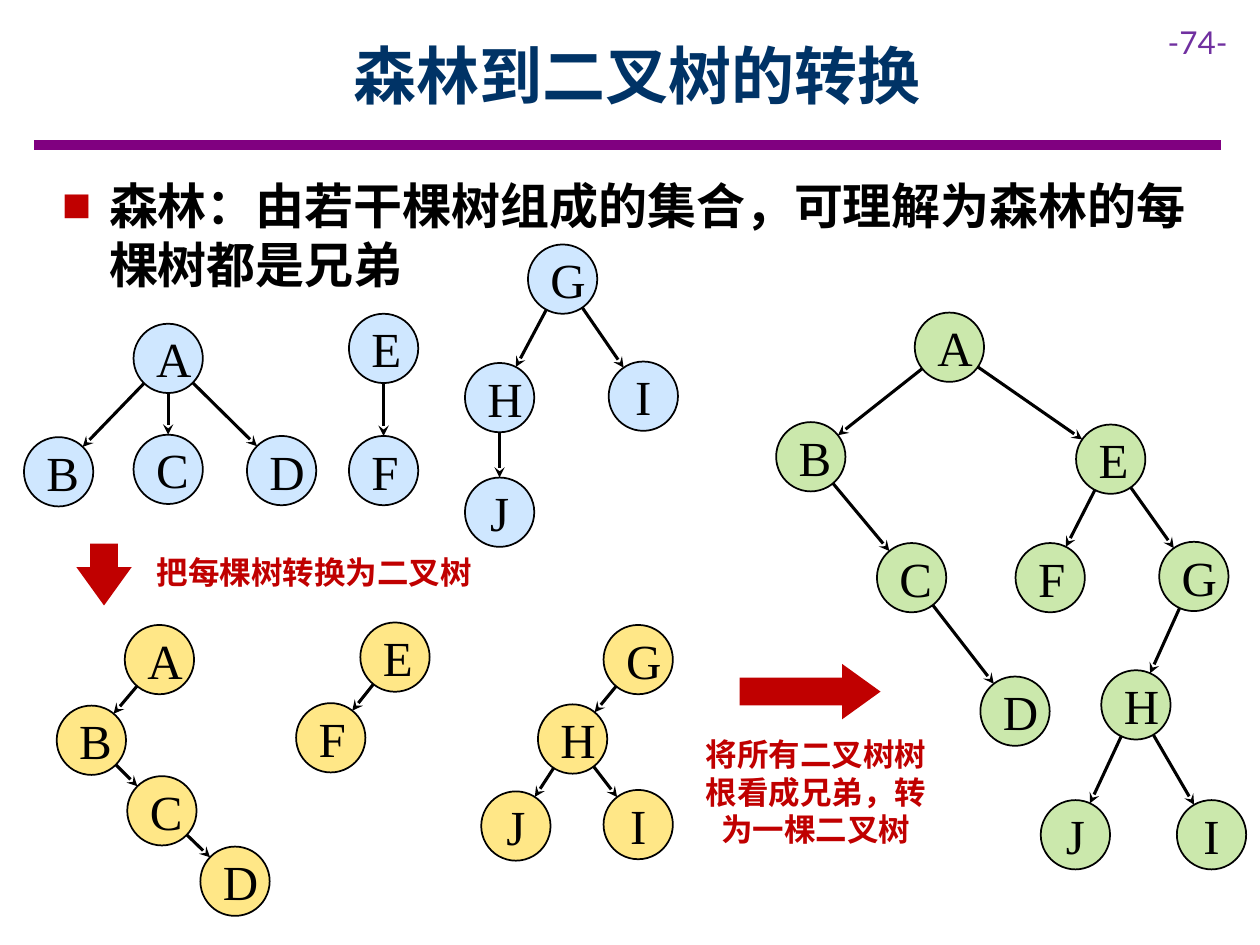
from math import hypot

from lxml import etree
from pptx import Presentation
from pptx.dml.color import RGBColor
from pptx.enum.shapes import MSO_CONNECTOR, MSO_SHAPE
from pptx.enum.text import MSO_ANCHOR, MSO_AUTO_SIZE, PP_ALIGN
from pptx.oxml.ns import qn
from pptx.util import Pt

STRAIGHT = MSO_CONNECTOR.STRAIGHT
OVAL, RIGHT_ARROW = MSO_SHAPE.OVAL, MSO_SHAPE.RIGHT_ARROW
TOP, MIDDLE = MSO_ANCHOR.TOP, MSO_ANCHOR.MIDDLE
LEFT, CENTER = PP_ALIGN.LEFT, PP_ALIGN.CENTER
FIXED = MSO_AUTO_SIZE.NONE

COLORS = {
    "black": "000000", "navy": "003366", "red": "C00000",
    "purple": "800080", "violet": "7030A0",
    "blue": "99CCFF", "yellow": "FFCC00", "green": "92D050",
}
CHINESE, LETTERS, NUMBERS = "Noto Sans CJK SC", "Times New Roman", "Lato"
DIAMETER = 39.6

# Each drawing: node positions (left, top) and parent-child pairs
FOREST = (
    {"A": (76.3, 185), "B": (13.7, 249.8), "C": (76.3, 248.4), "D": (141.1, 249.1),
     "E": (199.4, 179.3), "F": (199.4, 249.1), "G": (301.7, 139.7),
     "H": (265.7, 207.4), "I": (347.8, 206.6), "J": (265.7, 272.9)},
    "AB AC AD EF GH GI HJ",
)
BINARY_TREES = (
    {"A": (71.3, 357.1), "B": (32.4, 403.2), "C": (72.7, 443.5), "D": (114.5, 483.8),
     "E": (205.9, 355.7), "F": (169.2, 401.8), "G": (344.9, 357.1),
     "H": (307.4, 402.5), "J": (275, 452.2), "I": (344.9, 451.4)},
    "AB BC CD EF GH HJ HI",
)
MERGED_TREE = (
    {"A": (522.7, 178.6), "B": (443.5, 241.2), "C": (501.1, 310.3), "D": (560.2, 386.6),
     "E": (614.9, 242.6), "F": (580.3, 310.3), "G": (662.4, 309.6),
     "H": (629.3, 383), "J": (594.7, 457.2), "I": (672.5, 457.2)},
    "AB AE BC CD EF EG GH HJ HI",
)


def write_text(frame, text, *, size, color, font=CHINESE, bold=False, align=LEFT,
               anchor=TOP, after=0, spacing=None):
    frame.word_wrap = True
    frame.auto_size = FIXED
    frame.vertical_anchor = anchor
    paragraph = frame.paragraphs[0]
    paragraph.alignment = align
    paragraph.space_before, paragraph.space_after = Pt(0), Pt(after)
    if spacing:
        paragraph.line_spacing = Pt(spacing * size)
        frame.margin_top = Pt(3.6 + 0.09 * size)
    run = paragraph.add_run()
    run.text = text
    run.font.size, run.font.bold, run.font.name = Pt(size), bold, font
    run.font.color.rgb = RGBColor.from_string(COLORS[color])
    east_asian = etree.SubElement(run.font._element, qn("a:ea"))
    east_asian.set("typeface", font)
    return paragraph


class SlideBuilder:
    def __init__(self, presentation):
        self.slide = presentation.slides.add_slide(presentation.slide_layouts[1])
        self.shapes = self.slide.shapes

    def placeholder(self, index, box, text, **style):
        shape = self.slide.placeholders[index]
        shape.left, shape.top, shape.width, shape.height = map(Pt, box)
        return write_text(shape.text_frame, text, **style)

    def text_box(self, box, text, **style):
        shape = self.shapes.add_textbox(*map(Pt, box))
        write_text(shape.text_frame, text, **style)

    def bullet(self, paragraph, indent):
        properties = paragraph._p.get_or_add_pPr()
        properties.set("marL", str(Pt(indent)))
        properties.set("indent", str(-Pt(indent)))
        color = etree.SubElement(properties, qn("a:buClr"))
        etree.SubElement(color, qn("a:srgbClr")).set("val", COLORS["red"])
        etree.SubElement(properties, qn("a:buFont")).set("typeface", LETTERS)
        etree.SubElement(properties, qn("a:buChar")).set("char", "■")

    def line(self, shapes, start, end, color, width, arrow=False):
        connector = shapes.add_connector(STRAIGHT, *map(Pt, (*start, *end)))
        connector.line.color.rgb = RGBColor.from_string(COLORS[color])
        connector.line.width = Pt(width)
        if arrow:
            tail = etree.SubElement(connector.line._get_or_add_ln(), qn("a:tailEnd"))
            tail.set("type", "stealth")
        etree.SubElement(connector._element.spPr, qn("a:effectLst"))

    def block_arrow(self, box, rotation=0):
        shape = self.shapes.add_shape(RIGHT_ARROW, *map(Pt, box))
        shape.adjustments[0], shape.adjustments[1] = 0.5, 0.694
        shape.rotation = rotation
        shape.shadow.inherit = False
        shape.fill.solid()
        shape.fill.fore_color.rgb = RGBColor.from_string(COLORS["red"])
        shape.line.fill.background()

    def node(self, shapes, letter, position, color):
        shape = shapes.add_shape(OVAL, *map(Pt, (*position, DIAMETER, DIAMETER)))
        shape.shadow.inherit = False
        shape.fill.solid()
        shape.fill.fore_color.rgb = RGBColor.from_string(COLORS[color])
        fill_color = shape._element.spPr.find(qn("a:solidFill"))[0]
        etree.SubElement(fill_color, qn("a:alpha")).set("val", "47000")
        shape.line.color.rgb = RGBColor.from_string(COLORS["black"])
        shape.line.width = Pt(1)
        frame = shape.text_frame
        frame.margin_left = frame.margin_right = Pt(7.2)
        frame.margin_top = frame.margin_bottom = Pt(7.2)
        write_text(frame, letter, size=28, color="black", font=LETTERS,
                   align=CENTER, anchor=MIDDLE)

    def edge(self, shapes, parent, child):
        """Arrow along the line of centres, from rim to rim."""
        radius = DIAMETER / 2
        across, down = child[0] - parent[0], child[1] - parent[1]
        scale = radius / hypot(across, down)
        start = (parent[0] + radius + across * scale, parent[1] + radius + down * scale)
        end = (child[0] + radius - across * scale, child[1] + radius - down * scale)
        self.line(shapes, start, end, "black", 1.75, arrow=True)

    def tree(self, drawing, color):
        nodes, edges = drawing
        shapes = self.shapes.add_group_shape().shapes
        for letter, position in nodes.items():
            self.node(shapes, letter, position, color)
        for parent, child in edges.split():
            self.edge(shapes, nodes[parent], nodes[child])


def main():
    presentation = Presentation()
    presentation.slide_width, presentation.slide_height = Pt(720), Pt(540)
    builder = SlideBuilder(presentation)

    # Header
    builder.line(builder.shapes, (19.4, 82.8), (697.7, 82.8), "purple", 6)
    builder.text_box((660.2, 9.4, 59.8, 28.8), "-74-", size=18, color="violet",
                     font=NUMBERS)
    builder.placeholder(0, (64.8, 6.5, 598.3, 72), "森林到二叉树的转换", size=36,
                        color="navy", bold=True, align=CENTER, anchor=MIDDLE)

    # Definition
    definition = builder.placeholder(
        1, (28.1, 94.3, 671.8, 74.9),
        "森林：由若干棵树组成的集合，可理解为森林的每棵树都是兄弟",
        size=28, color="black", bold=True, after=6, spacing=1.2)
    builder.bullet(definition, 27)

    # Forest, separate binary trees, merged binary tree
    builder.tree(FOREST, "blue")
    builder.tree(BINARY_TREES, "yellow")
    builder.tree(MERGED_TREE, "green")

    # Conversion steps
    step = dict(size=18, color="red", bold=True, align=CENTER, after=6, spacing=1.2)
    builder.block_arrow((41.8, 312.5, 35.3, 31.7), rotation=90)
    builder.text_box((73.4, 311, 212.4, 28.8), "把每棵树转换为二叉树", **step)
    builder.block_arrow((422.6, 379.4, 80.6, 31.7))
    builder.text_box((389.5, 414.7, 153.4, 72.7),
                     "将所有二叉树树根看成兄弟，转为一棵二叉树", **step)

    presentation.save("out.pptx")


if __name__ == "__main__":
    main()
